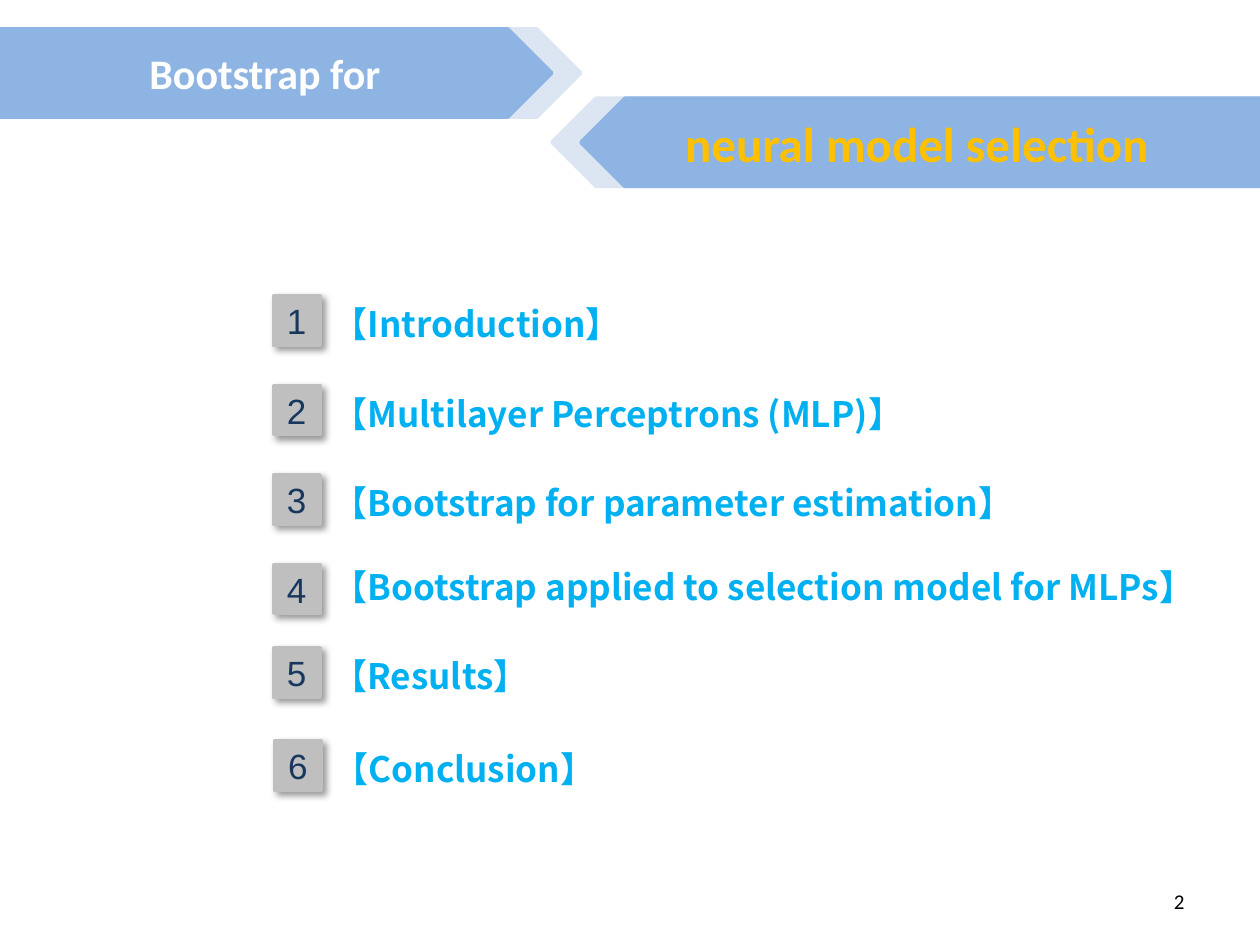
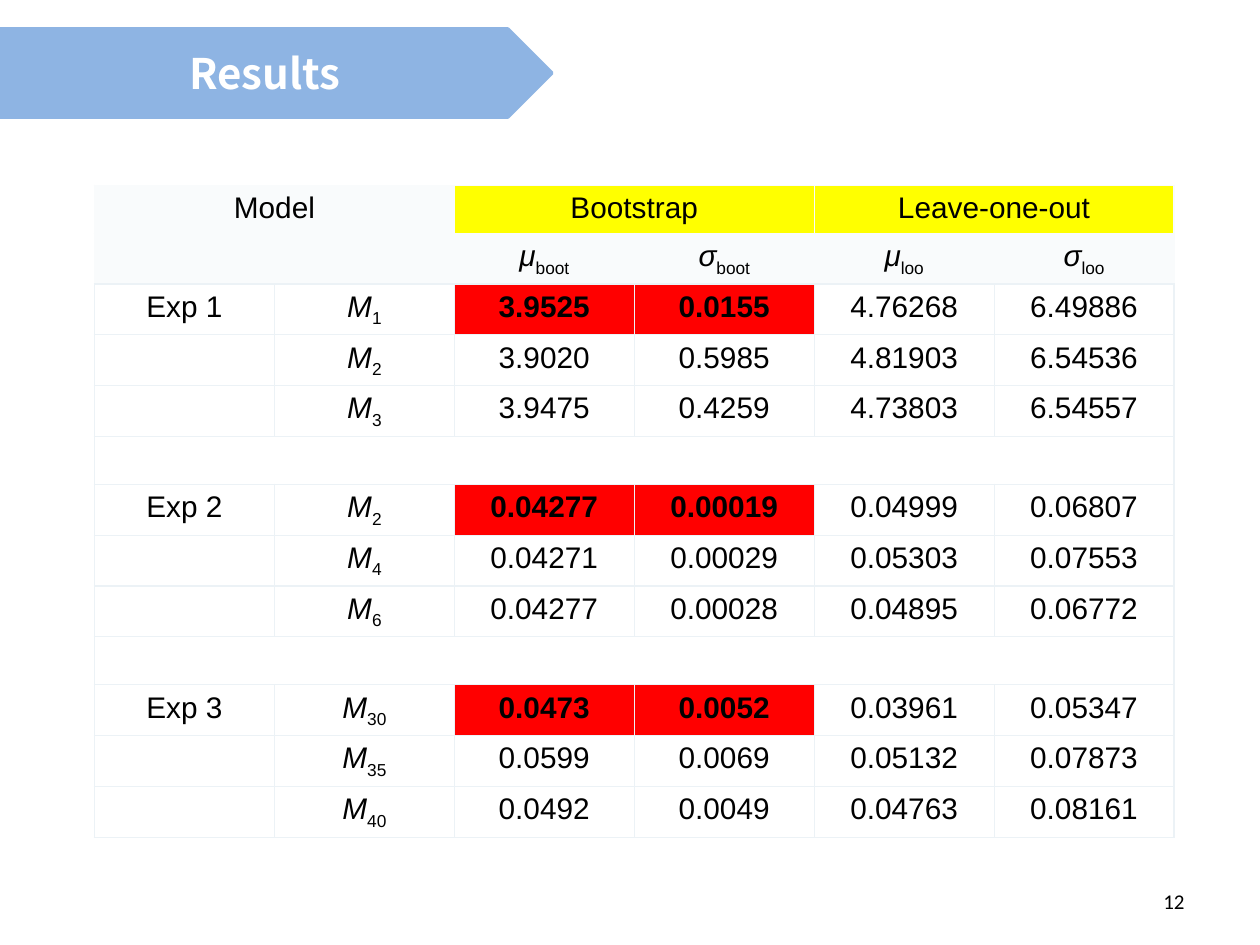
import lxml.etree
import pptx
import pptx.dml.color
import pptx.enum.shapes
import pptx.enum.text
import pptx.oxml.ns
import pptx.util

Pt = pptx.util.Pt
qn = pptx.oxml.ns.qn
Align = pptx.enum.text.PP_ALIGN
Anchor = pptx.enum.text.MSO_ANCHOR
Preset = pptx.enum.shapes.MSO_SHAPE

# Shared look
BAND, BAND_SHADE = "8EB4E3", "DCE6F2"
WHITE, BLACK, GOLD, SKY = "FFFFFF", "000000", "FFC000", "00B0F0"
BADGE, BADGE_NUMBER = "BFBFBF", "17375E"
HEADER, GRID, YELLOW, RED = "F9FBFC", "ECF2F6", "FFFF00", "FF0000"
CJK = "Noto Sans CJK SC"

BAND_HEIGHT = 50.4
TITLE_BAND = (0, 16.56, 315.36, BAND_HEIGHT)
SUBTITLE_BAND = (331.92, 56.16, 388.08, BAND_HEIGHT)
BAND_OFFSET = 16.56
PAGE_NUMBER_BOX = (516.24, 500.4, 167.76, 28.8)

# Agenda entries: left and top of the row, width of its text, raise of its text
AGENDA = [
    ("Introduction", 156.24, 169.2, 426.24, 0),
    ("Multilayer Perceptrons (MLP)", 156.24, 220.32, 431.28, 0),
    ("Bootstrap for parameter estimation", 156.24, 271.44, 431.28, 0),
    ("Bootstrap applied to selection model for MLPs", 156.24, 322.56, 516.96, 3.6),
    ("Results", 156.24, 370.08, 432, 0),
    ("Conclusion", 156.96, 423.36, 432, 0),
]

# Results: an underscore starts a subscript, an empty list is a spacer row
RESULTS = [
    ["Model", "", "Bootstrap", "", "Leave-one-out", ""],
    ["", "", "μ_boot", "σ_boot", "μ_loo", "σ_loo"],
    ["Exp 1", "M_1", "3.9525", "0.0155", "4.76268", "6.49886"],
    ["", "M_2", "3.9020", "0.5985", "4.81903", "6.54536"],
    ["", "M_3", "3.9475", "0.4259", "4.73803", "6.54557"],
    [],
    ["Exp 2", "M_2", "0.04277", "0.00019", "0.04999", "0.06807"],
    ["", "M_4", "0.04271", "0.00029", "0.05303", "0.07553"],
    ["", "M_6", "0.04277", "0.00028", "0.04895", "0.06772"],
    [],
    ["Exp 3", "M_30", "0.0473", "0.0052", "0.03961", "0.05347"],
    ["", "M_35", "0.0599", "0.0069", "0.05132", "0.07873"],
    ["", "M_40", "0.0492", "0.0049", "0.04763", "0.08161"],
]


def rgb(hex_color):
    return pptx.dml.color.RGBColor.from_string(hex_color)


def add_run(paragraph, text, size, color, font, bold=False, italic=False, baseline=0):
    run = paragraph.add_run()
    run.text = text
    run.font.size = Pt(size)
    run.font.bold, run.font.italic = bold, italic
    run.font.color.rgb = rgb(color)
    run.font.name = font
    properties = run.font._element
    if font == CJK:
        lxml.etree.SubElement(properties, qn("a:ea"), typeface=font)
    if baseline:
        properties.set("baseline", str(baseline * 1000))


def write(shape, text, size, color, font, bold=False, align=Align.LEFT,
          anchor=Anchor.TOP, wrap=True):
    frame = shape.text_frame
    frame.word_wrap = wrap
    frame.auto_size = pptx.enum.text.MSO_AUTO_SIZE.NONE
    frame.vertical_anchor = anchor
    paragraph = frame.paragraphs[0]
    paragraph.alignment = align
    add_run(paragraph, text, size, color, font, bold)


def add_text(slide, box, *text, **style):
    write(slide.shapes.add_textbox(*map(Pt, box)), *text, **style)


def add_block(slide, preset, box, color):
    block = slide.shapes.add_shape(preset, *map(Pt, box))
    block.shadow.inherit = False
    block.fill.solid()
    block.fill.fore_color.rgb = rgb(color)
    block.line.color.rgb = rgb(color)
    block.line.width = Pt(2)
    return block


# Bands
def add_band(slide, box, color, points_left=False):
    band = add_block(slide, Preset.PENTAGON, box, color)
    if points_left:
        band.element.spPr.find(qn("a:xfrm")).set("flipH", "1")


def add_title_band(slide, box, text, font, shaded=False):
    left, top, width, height = box
    if shaded:
        add_band(slide, (left, top, width + BAND_OFFSET, height), BAND_SHADE)
    add_band(slide, box, BAND)
    title = slide.shapes.title
    title.left, title.top = Pt(left), Pt(top)
    title.width, title.height = Pt(width - height / 4), Pt(height)
    write(title, text, 24, WHITE, font, bold=True, align=Align.CENTER,
          anchor=Anchor.MIDDLE)
    slide.shapes._spTree.append(title.element)  # bring in front of the band


def add_subtitle_band(slide, box, text):
    left, top, width, height = box
    add_band(slide, (left - BAND_OFFSET, top, width + BAND_OFFSET, height),
             BAND_SHADE, points_left=True)
    add_band(slide, box, BAND, points_left=True)
    add_text(slide, (left + 52.56, top + 5.04, 282.96, 41.04), text, 28, GOLD,
             "Calibri", bold=True, wrap=False)


def add_page_number(slide, box, number):
    add_text(slide, box, str(number), 12, BLACK, "Calibri",
             align=Align.RIGHT, anchor=Anchor.MIDDLE)


# Agenda
def add_badge(slide, box, number):
    badge = add_block(slide, Preset.RECTANGLE, box, BADGE)
    effects = badge.element.spPr.find(qn("a:effectLst"))
    shadow = lxml.etree.SubElement(
        effects, qn("a:outerShdw"), blurRad=str(Pt(4)), dist=str(Pt(3)),
        dir=str(45 * 60000), algn="tl", rotWithShape="0")
    tint = lxml.etree.SubElement(shadow, qn("a:srgbClr"), val=BLACK)
    lxml.etree.SubElement(tint, qn("a:alpha"), val="40000")
    write(badge, str(number), 20, BADGE_NUMBER, "Arial",
          align=Align.CENTER, anchor=Anchor.MIDDLE)


def add_agenda(slide):
    for number, (topic, left, top, width, rise) in enumerate(AGENDA, 1):
        add_badge(slide, (left, top, 26.64, 28.08), number)
        add_text(slide, (left + 26.64, top + 0.4 - rise, width, 31.68),
                 f"【{topic}】", 20, SKY, CJK, bold=True)


# Results table
def draw_borders(cell, color, bottom):
    properties = cell._tc.get_or_add_tcPr()
    for position, side in enumerate("LRTB"):
        line = lxml.etree.Element(qn(f"a:ln{side}"), w=str(Pt(0.75)))
        fill = lxml.etree.SubElement(line, qn("a:solidFill"))
        lxml.etree.SubElement(fill, qn("a:srgbClr"),
                              val=bottom if side == "B" else color)
        properties.insert(position, line)


def fill_cell(cell, text, color, bold):
    cell.fill.solid()
    cell.fill.fore_color.rgb = rgb(color)
    paragraph = cell.text_frame.paragraphs[0]
    paragraph.alignment = Align.CENTER
    if not text:
        lxml.etree.SubElement(paragraph._p, qn("a:endParaRPr"), sz="1600")
        return
    symbol, _, subscript = text.partition("_")
    add_run(paragraph, symbol, 17, BLACK, "Arial", bold, italic=bool(subscript))
    if subscript:
        add_run(paragraph, subscript, 17, BLACK, "Arial", baseline=-25)


def cell_color(row, column):
    if row == 0 and column >= 2:
        return YELLOW
    if row < 2:
        return HEADER
    starts_experiment = bool(RESULTS[row]) and RESULTS[row][0] != ""
    return RED if starts_experiment and column in (2, 3) else WHITE


def add_results_table(slide, box):
    column_count = len(RESULTS[0])
    left, top, width, height = box
    table = slide.shapes.add_table(len(RESULTS), column_count, *map(Pt, box)).table
    table.first_row = table.horz_banding = False
    for column in table.columns:
        column.width = Pt(width / column_count)
    for row, values in enumerate(RESULTS):
        table.rows[row].height = Pt(height / len(RESULTS))
        for column, value in enumerate(values or [""] * column_count):
            cell = table.cell(row, column)
            color = cell_color(row, column)
            fill_cell(cell, value, color, bold=color == RED)
            draw_borders(cell, HEADER if row < 2 else GRID,
                         HEADER if row == 0 else GRID)
        if not values:
            table.cell(row, 0).merge(table.cell(row, column_count - 1))
    for row, column in ((0, 0), (0, 2), (0, 4), (1, 0)):
        table.cell(row, column).merge(table.cell(row, column + 1))


# Slides
def build_agenda_slide(slide):
    add_title_band(slide, TITLE_BAND, "Bootstrap for", "Calibri", shaded=True)
    add_subtitle_band(slide, SUBTITLE_BAND, "neural model selection")
    add_agenda(slide)
    add_page_number(slide, PAGE_NUMBER_BOX, 2)


def build_results_slide(slide):
    add_title_band(slide, TITLE_BAND, "Results", CJK)
    add_page_number(slide, PAGE_NUMBER_BOX, 12)
    add_results_table(slide, (54, 105.84, 617.04, 356.4))


def main():
    deck = pptx.Presentation()
    deck.slide_width, deck.slide_height = Pt(720), Pt(540)
    title_only = deck.slide_layouts[5]
    for build in (build_agenda_slide, build_results_slide):
        build(deck.slides.add_slide(title_only))
    deck.save("out.pptx")


if __name__ == "__main__":
    main()
